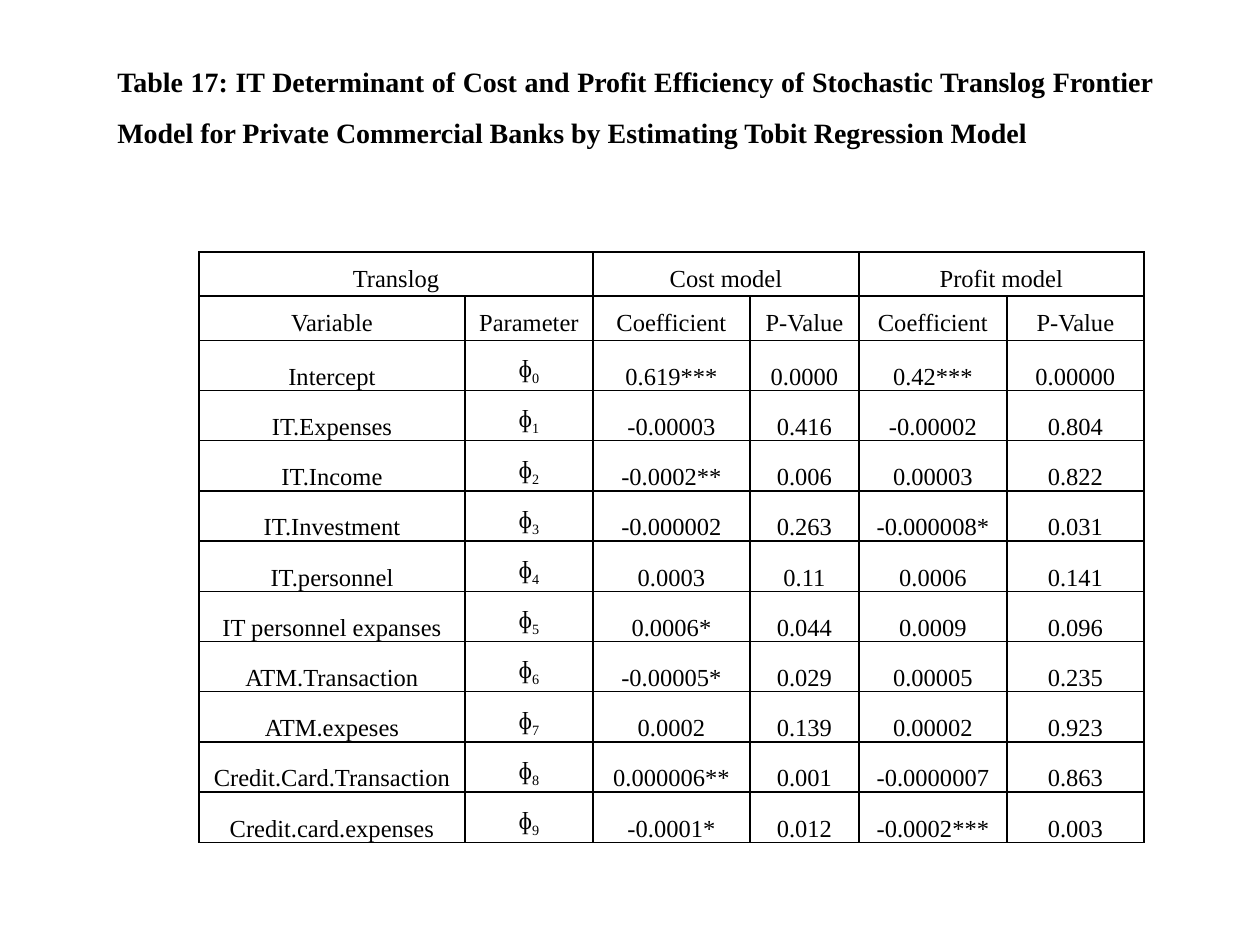
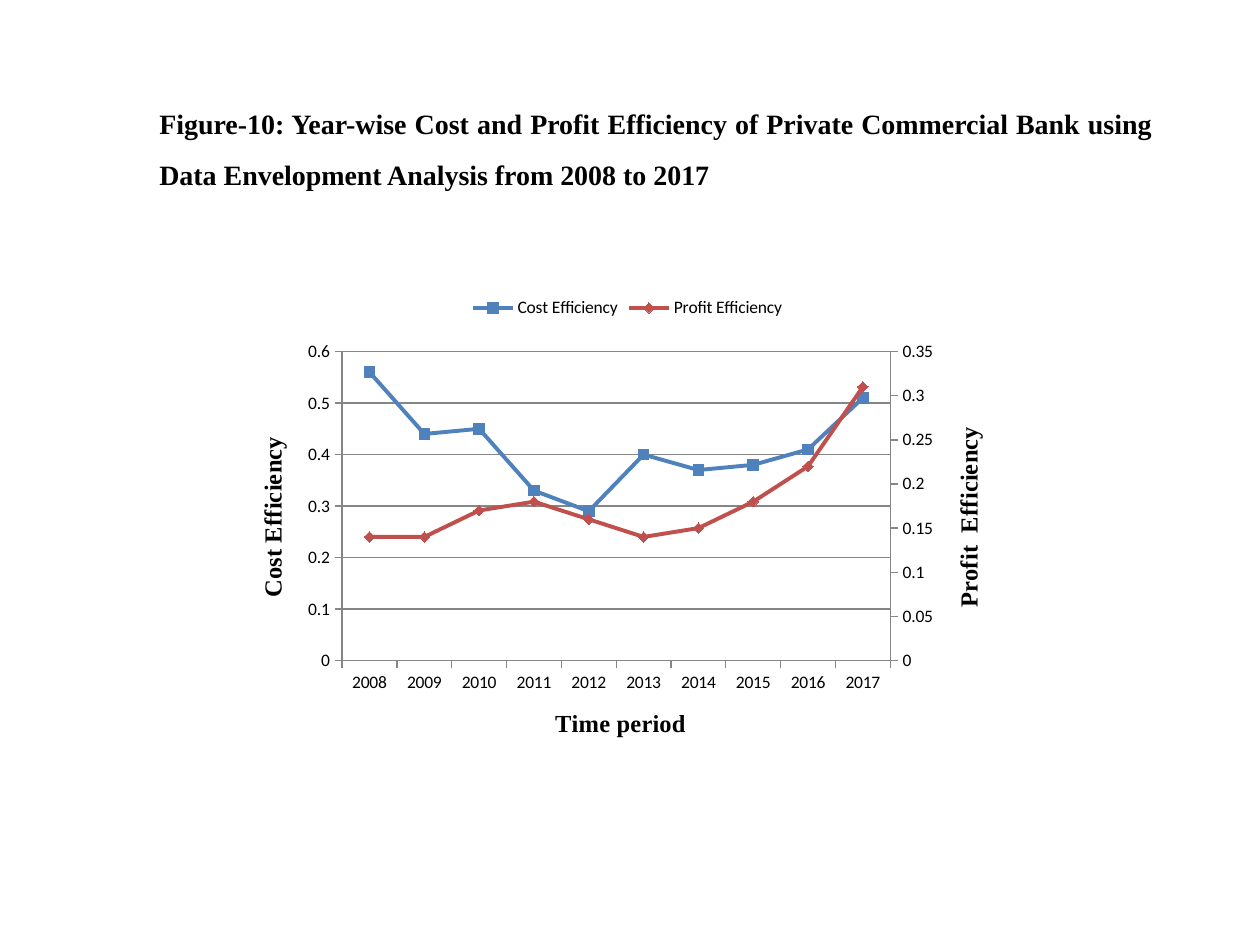
from copy import deepcopy

from lxml import etree
from pptx import Presentation
from pptx.chart.data import CategoryChartData
from pptx.dml.color import RGBColor
from pptx.enum.chart import XL_CHART_TYPE, XL_LEGEND_POSITION, XL_MARKER_STYLE
from pptx.enum.text import MSO_ANCHOR, MSO_AUTO_SIZE, PP_ALIGN
from pptx.oxml import parse_xml
from pptx.oxml.ns import nsdecls, qn
from pptx.util import Pt

PX = 914400 / 126
COLORS = {"ink": "000000", "axis": "868686", "cost": "4F81BD", "profit": "C0504D"}
SERIF = "Times New Roman"
SANS = "Calibri"

MODELS = ["Translog", "Cost model", "Profit model"]
HEADINGS = ["Variable", "Parameter"] + ["Coefficient", "P-Value"] * 2
ESTIMATES = [
    ("Intercept", "0.619***", "0.0000", "0.42***", "0.00000"),
    ("IT.Expenses", "-0.00003", "0.416", "-0.00002", "0.804"),
    ("IT.Income", "-0.0002**", "0.006", "0.00003", "0.822"),
    ("IT.Investment", "-0.000002", "0.263", "-0.000008*", "0.031"),
    ("IT.personnel", "0.0003", "0.11", "0.0006", "0.141"),
    ("IT personnel expanses", "0.0006*", "0.044", "0.0009", "0.096"),
    ("ATM.Transaction", "-0.00005*", "0.029", "0.00005", "0.235"),
    ("ATM.expeses", "0.0002", "0.139", "0.00002", "0.923"),
    ("Credit.Card.Transaction", "0.000006**", "0.001", "-0.0000007", "0.863"),
    ("Credit.card.expenses", "-0.0001*", "0.012", "-0.0002***", "0.003"),
]
COLUMN_WIDTHS = [266, 128, 157, 109, 148, 137]
ROW_HEIGHT = 44

YEARS = [str(year) for year in range(2008, 2018)]
COST = [0.56, 0.44, 0.45, 0.33, 0.29, 0.4, 0.37, 0.38, 0.41, 0.51]
PROFIT = [0.14, 0.14, 0.17, 0.18, 0.16, 0.14, 0.15, 0.18, 0.22, 0.31]


def px(*lengths):
    return [round(length * PX) for length in lengths]


def rgb(name):
    return RGBColor.from_string(COLORS[name])


def style(font, size, face=SERIF, bold=False):
    font.size = Pt(size)
    font.name = face
    font.bold = bold
    font.color.rgb = rgb("ink")


def add_title(slide, box, text):
    frame = slide.shapes.add_textbox(*px(*box)).text_frame
    frame.word_wrap = True
    frame.auto_size = MSO_AUTO_SIZE.SHAPE_TO_FIT_TEXT
    title = frame.paragraphs[0]
    title.text = text
    title.alignment = PP_ALIGN.JUSTIFY
    title.line_spacing = 1.5
    style(title.font, 16, bold=True)


def frame_cell(cell):
    cell.fill.background()
    properties = cell._tc.get_or_add_tcPr()
    for place, side in enumerate("LRTB"):
        properties.insert(place, parse_xml(
            f'<a:ln{side} {nsdecls("a")} w="12700"><a:solidFill>'
            f'<a:srgbClr val="{COLORS["ink"]}"/></a:solidFill></a:ln{side}>'))


def fill_cell(cell, text, subscript="", anchor=MSO_ANCHOR.TOP):
    cell.margin_left, cell.margin_right, cell.margin_top, cell.margin_bottom = px(9, 9, 0, 0)
    cell.vertical_anchor = anchor
    entry = cell.text_frame.paragraphs[0]
    entry.alignment = PP_ALIGN.CENTER
    entry.line_spacing = 1.5
    entry.space_after = Pt(10)
    entry.add_run().text = text
    if subscript:
        index = entry.add_run()
        index.text = subscript
        index.font._element.set("baseline", "-25000")
    style(entry.font, 14)


def add_estimates(slide, left, top):
    row_count = len(ESTIMATES) + 2
    size = sum(COLUMN_WIDTHS), ROW_HEIGHT * row_count
    table = slide.shapes.add_table(
        row_count, len(COLUMN_WIDTHS), *px(left, top, *size)).table
    table.first_row = table.horz_banding = False
    for column, width in zip(table.columns, px(*COLUMN_WIDTHS)):
        column.width = width
    for row in table.rows:
        row.height = px(ROW_HEIGHT)[0]
        for cell in row.cells:
            frame_cell(cell)
    for group, model in enumerate(MODELS):
        start = table.cell(0, 2 * group)
        start.merge(table.cell(0, 2 * group + 1))
        fill_cell(start, model)
    for column, heading in enumerate(HEADINGS):
        fill_cell(table.cell(1, column), heading)
    for index, (variable, *figures) in enumerate(ESTIMATES):
        row = index + 2
        fill_cell(table.cell(row, 0), variable, anchor=MSO_ANCHOR.BOTTOM)
        fill_cell(table.cell(row, 1), "ɸ", str(index))
        for column, figure in enumerate(figures, 2):
            fill_cell(table.cell(row, column), figure, anchor=MSO_ANCHOR.BOTTOM)


def style_axis(axis, text, upright=False):
    axis.format.line.color.rgb = rgb("axis")
    frame = axis.axis_title.text_frame
    frame.text = text
    style(frame.paragraphs[0].runs[0].font, 14, bold=True)
    if upright:
        frame._txBody.bodyPr.set("rot", "-5400000")
        frame._txBody.bodyPr.set("vert", "horz")


def style_series(series, color, marker):
    series.smooth = False
    series.format.line.color.rgb = rgb(color)
    series.format.line.width = Pt(2.25)
    series.marker.style = marker
    series.marker.size = 6
    series.marker.format.fill.solid()
    series.marker.format.fill.fore_color.rgb = rgb(color)
    series.marker.format.line.color.rgb = rgb(color)


def set_value(parent, tag, value):
    next(parent.iter(qn(tag))).set("val", value)


def move_to_right_axis(chart, title, maximum, step):
    cost_lines = chart.plots[0]._element
    profit_lines = deepcopy(cost_lines)
    cost_lines.remove(cost_lines.findall(qn("c:ser"))[1])
    profit_lines.remove(profit_lines.findall(qn("c:ser"))[0])
    cost_lines.addnext(profit_lines)
    years = deepcopy(chart.category_axis._element)
    values = deepcopy(chart.value_axis._element)
    chart.value_axis._element.addnext(values)
    values.addnext(years)
    for reference, number in zip(profit_lines.findall(qn("c:axId")), ("5001", "5002")):
        reference.set("val", number)
    for axis, own, other in ((years, "5001", "5002"), (values, "5002", "5001")):
        set_value(axis, "c:axId", own)
        set_value(axis, "c:crossAx", other)
    years.remove(years.find(qn("c:title")))
    set_value(years, "c:delete", "1")
    values.remove(values.find(qn("c:majorGridlines")))
    set_value(values, "c:axPos", "r")
    set_value(values, "c:crosses", "max")
    set_value(values, "c:max", str(maximum))
    set_value(values, "c:majorUnit", str(step))
    next(values.iter(qn("a:t"))).text = title


def place_plot(chart, **box):
    plot_area = chart.plots[0]._element.getparent()
    for old in plot_area.findall(qn("c:layout")):
        plot_area.remove(old)
    layout = etree.Element(qn("c:layout"))
    manual = etree.SubElement(layout, qn("c:manualLayout"))
    settings = {"layoutTarget": "inner", "xMode": "edge", "yMode": "edge", **box}
    for tag, value in settings.items():
        etree.SubElement(manual, qn(f"c:{tag}")).set("val", str(value))
    plot_area.insert(0, layout)


def add_efficiency_chart(slide, box):
    data = CategoryChartData()
    data.categories = YEARS
    data.add_series("Cost Efficiency", COST)
    data.add_series("Profit Efficiency", PROFIT)
    chart = slide.shapes.add_chart(XL_CHART_TYPE.LINE_MARKERS, *px(*box), data).chart
    style(chart.font, 10, SANS)
    chart.has_title = False
    chart.has_legend = True
    chart.legend.position = XL_LEGEND_POSITION.TOP
    chart.legend.include_in_layout = False
    chart.plots[0].vary_by_categories = False
    cost, profit = chart.plots[0].series
    style_series(cost, "cost", XL_MARKER_STYLE.SQUARE)
    style_series(profit, "profit", XL_MARKER_STYLE.DIAMOND)
    style_axis(chart.category_axis, "Time period")
    efficiency = chart.value_axis
    style_axis(efficiency, "Cost Efficiency", upright=True)
    efficiency.minimum_scale, efficiency.maximum_scale = 0, 0.6
    efficiency.major_unit = 0.1
    efficiency.major_gridlines.format.line.color.rgb = rgb("axis")
    efficiency.tick_labels.number_format = "General"
    efficiency.tick_labels.number_format_is_linked = False
    move_to_right_axis(chart, "Profit  Efficiency", 0.35, 0.05)
    place_plot(chart, x=0.12, y=0.14, w=0.73, h=0.64)


def main():
    deck = Presentation()
    deck.slide_width, deck.slide_height = px(1260, 945)
    blank = deck.slide_layouts[6]

    determinants = deck.slides.add_slide(blank)
    add_title(determinants, (105, 42, 1061, 115),
              "Table 17: IT Determinant of Cost and Profit Efficiency of Stochastic Translog "
              "Frontier Model for Private Commercial Banks by Estimating Tobit Regression Model")
    add_estimates(determinants, 199, 252)

    yearly = deck.slides.add_slide(blank)
    add_title(yearly, (147, 84, 1018, 110),
              "Figure-10: Year-wise Cost and Profit Efficiency of Private Commercial Bank "
              "using Data Envelopment Analysis from 2008 to 2017")
    add_efficiency_chart(yearly, (252, 284, 751, 483))

    deck.save("out.pptx")


if __name__ == "__main__":
    main()
